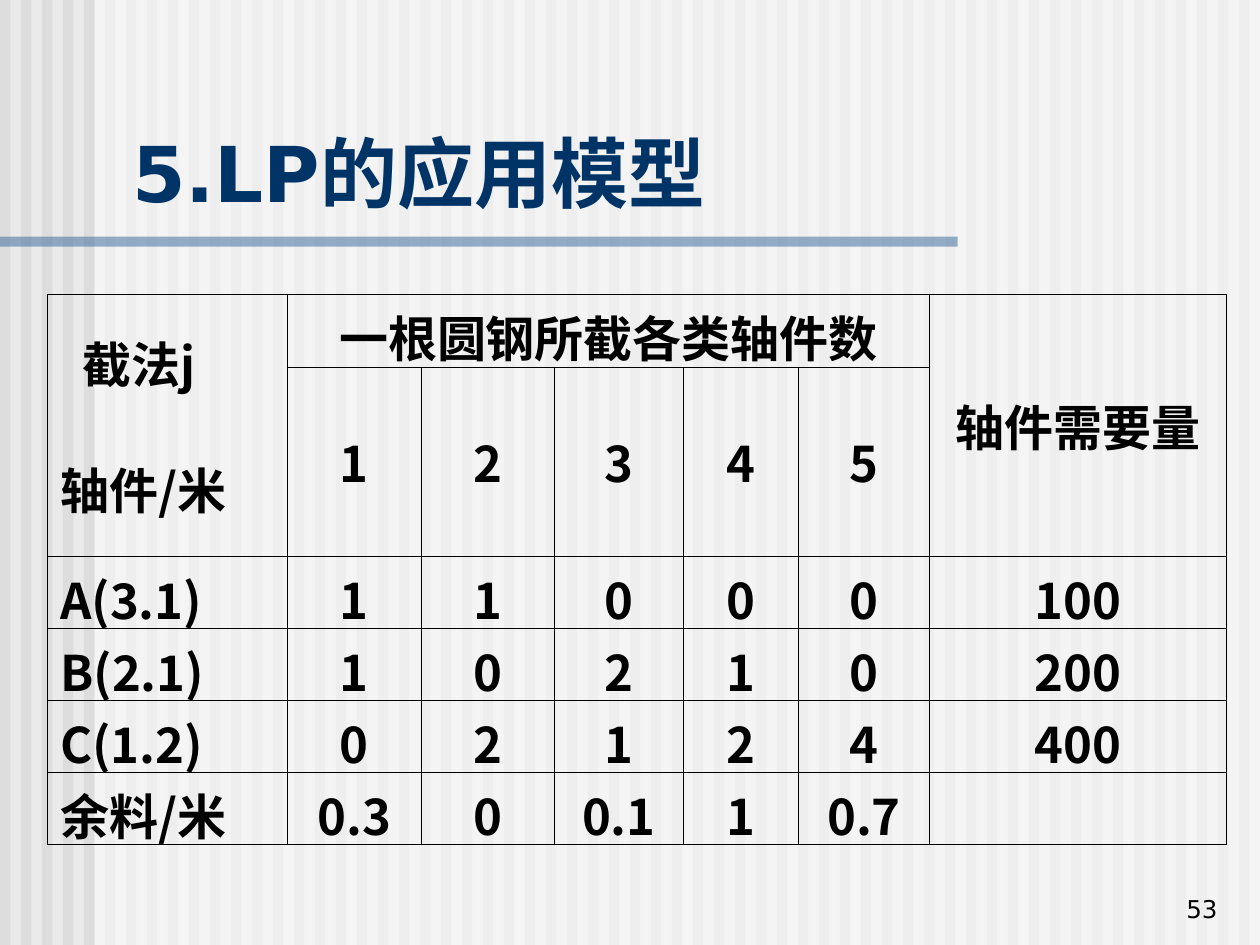
from pptx import Presentation
from pptx import util as u
from pptx.dml.color import RGBColor
from pptx.enum import shapes, text
from pptx.oxml import parse_xml
from pptx.oxml.ns import nsdecls, qn

Pt = u.Pt
LATIN, HAN = "DejaVu Sans", "Noto Sans CJK SC"
PAPER = RGBColor(0xEA, 0xEA, 0xEA)
STRIPE = RGBColor(0xDD, 0xDD, 0xDD)
WHITE = RGBColor(0xFF, 0xFF, 0xFF)
RULE = RGBColor(0x33, 0x66, 0x99)
NAVY = RGBColor(0x00, 0x33, 0x66)
BLACK = RGBColor(0x00, 0x00, 0x00)

COLUMNS = [136.8, 77, 75.6, 74.2, 65.5, 75, 169.8]
ROWS = [41.5, 108, 41.2, 41.2, 41.2, 41.2]
BODY = [
    ["A(3.1)", "1", "1", "0", "0", "0", "100"],
    ["B(2.1)", "1", "0", "2", "1", "0", "200"],
    ["C(1.2)", "0", "2", "1", "2", "4", "400"],
    ["余料/米", "0.3", "0", "0.1", "1", "0.7", ""],
]


def add_bar(page, left, top, width, height, color, alpha=None):
    bar = page.shapes.add_shape(
        shapes.MSO_SHAPE.RECTANGLE, Pt(left), Pt(top), Pt(width), Pt(height))
    bar.shadow.inherit = False
    bar.line.fill.background()
    bar.fill.solid()
    bar.fill.fore_color.rgb = color
    if alpha is not None:
        tint = bar.fill._xPr.find(".//" + qn("a:srgbClr"))
        tint.append(parse_xml(f'<a:alpha {nsdecls("a")} val="{alpha * 1000}"/>'))


def add_span(para, words, size, color, font, bold=False):
    span = para.add_run()
    span.text = words
    span.font.size = Pt(size)
    span.font.bold = bold
    span.font.name = font
    span.font.color.rgb = color
    span.font._element.append(
        parse_xml(f'<a:ea {nsdecls("a")} typeface="{HAN}"/>'))


def add_label(page, left, top, width, height, words, size, color, align, bold=False):
    box = page.shapes.add_textbox(Pt(left), Pt(top), Pt(width), Pt(height))
    frame = box.text_frame
    frame.word_wrap = True
    frame.vertical_anchor = text.MSO_ANCHOR.BOTTOM
    para = frame.paragraphs[0]
    para.alignment = align
    add_span(para, words, size, color, LATIN, bold)


def style_cell(cell):
    cell.fill.background()
    cell.vertical_anchor = text.MSO_ANCHOR.MIDDLE
    props = cell._tc.get_or_add_tcPr()
    for index, side in enumerate(("lnL", "lnR", "lnT", "lnB")):
        props.insert(index, parse_xml(
            f'<a:{side} {nsdecls("a")} w="{Pt(0.45)}"><a:solidFill>'
            f'<a:srgbClr val="{BLACK}"/></a:solidFill></a:{side}>'))


def write_cell(para, words, align=text.PP_ALIGN.CENTER):
    para.alignment = align
    if words:
        add_span(para, words, 28, BLACK, HAN, True)


def add_cutting_table(page):
    table = page.shapes.add_table(
        len(ROWS), len(COLUMNS), Pt(27.2), Pt(168.3),
        Pt(sum(COLUMNS)), Pt(sum(ROWS))).table
    table.first_row = table.horz_banding = False
    for column, width in zip(table.columns, COLUMNS):
        column.width = Pt(width)
    for row, height in zip(table.rows, ROWS):
        row.height = Pt(height)
    for cell in table.iter_cells():
        style_cell(cell)

    # Header, with merged cells
    for first, last in [((0, 0), (1, 0)), ((0, 1), (0, 5)), ((0, 6), (1, 6))]:
        table.cell(*first).merge(table.cell(*last))
    corner = table.cell(0, 0).text_frame
    write_cell(corner.paragraphs[0], "截法j", text.PP_ALIGN.LEFT)
    corner.paragraphs[0]._p.get_or_add_pPr().set("marL", str(Pt(12.6)))
    lower = corner.add_paragraph()
    lower.space_before = Pt(31.5)
    write_cell(lower, "轴件/米", text.PP_ALIGN.LEFT)
    write_cell(table.cell(0, 1).text_frame.paragraphs[0], "一根圆钢所截各类轴件数")
    write_cell(table.cell(0, 6).text_frame.paragraphs[0], "轴件需要量")
    for method in range(1, 6):
        write_cell(table.cell(1, method).text_frame.paragraphs[0], str(method))

    # Body
    for r, values in enumerate(BODY, 2):
        for c, value in enumerate(values):
            align = text.PP_ALIGN.CENTER if c else text.PP_ALIGN.LEFT
            write_cell(table.cell(r, c).text_frame.paragraphs[0], value, align)


def main():
    deck = Presentation()
    deck.slide_width, deck.slide_height = Pt(720), Pt(540)
    page = deck.slides.add_slide(deck.slide_layouts[6])
    page.background.fill.solid()
    page.background.fill.fore_color.rgb = PAPER

    # Striped backdrop with a pale veil and a title rule
    for stripe in range(60):
        add_bar(page, stripe * 12, 0, 6, 540, STRIPE)
    add_bar(page, 54, 0, 666, 540, WHITE, 50)
    add_bar(page, 0, 135.2, 547.2, 5.8, RULE, 50)

    # Title, table and page number
    add_label(page, 68.4, 67.7, 643, 60.5, "5.LP的应用模型", 44, NAVY,
              text.PP_ALIGN.LEFT, True)
    add_cutting_table(page)
    add_label(page, 553, 495.4, 149.8, 36, "53", 14, BLACK, text.PP_ALIGN.RIGHT)

    deck.save("out.pptx")


if __name__ == "__main__":
    main()
